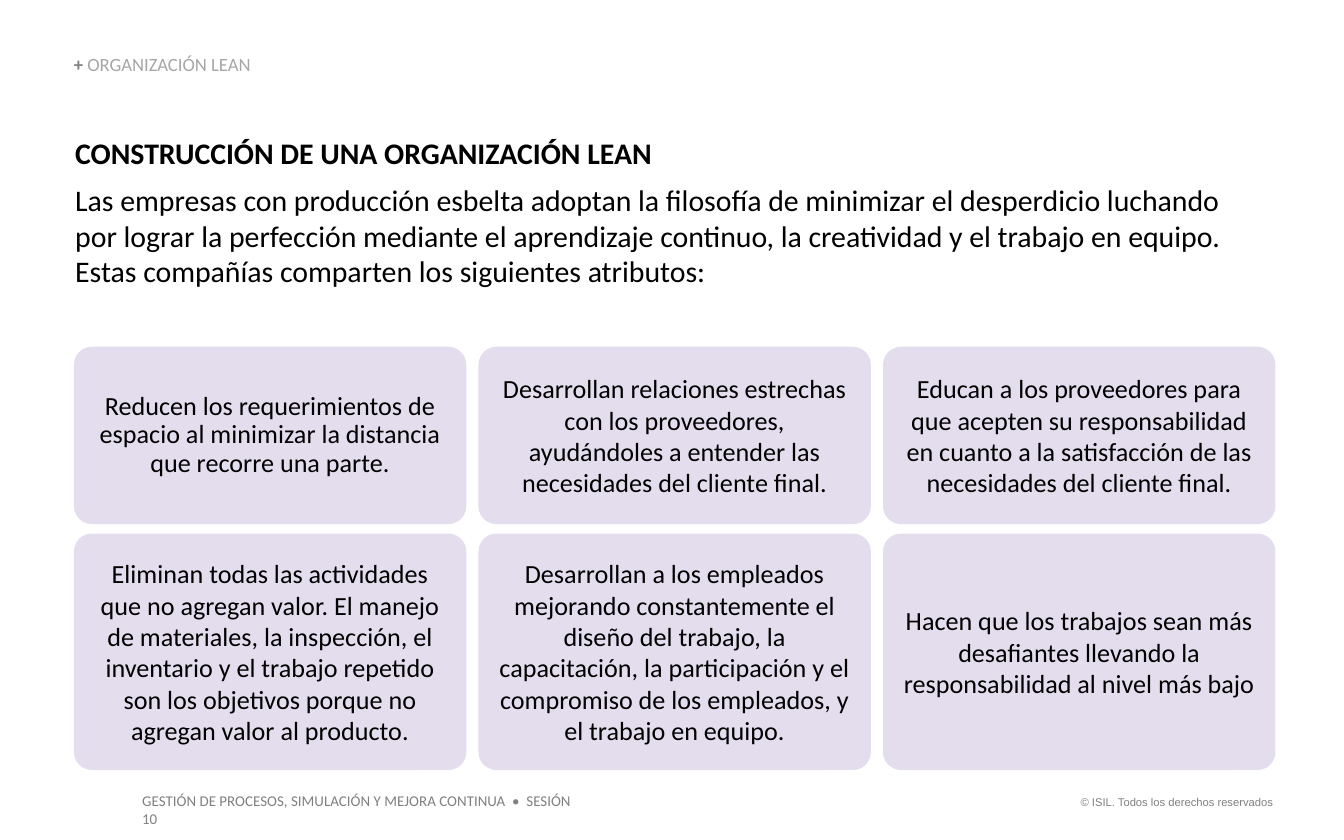
from pptx import Presentation
from pptx import util as u
from pptx.dml.color import RGBColor
from pptx.enum import shapes, text
from pptx.oxml.ns import qn
from lxml import etree

INK = {"text": "000000", "gray": "808080", "pale": "A6A6A6", "card": "E4DDED"}

HEAD = [("+ ", "gray", True), ("ORGANIZACIÓN LEAN", "pale", False)]
BODY = [
    ("CONSTRUCCIÓN DE UNA ORGANIZACIÓN LEAN", True, 6),
    ("Las empresas con producción esbelta adoptan la filosofía de minimizar el "
     "desperdicio luchando por lograr la perfección mediante el aprendizaje continuo, "
     "la creatividad y el trabajo en equipo. Estas compañías comparten los siguientes "
     "atributos:", False, 0),
]
CARDS = [
    ["Reducen los requerimientos de espacio al minimizar la distancia que recorre una parte.",
     "Desarrollan relaciones estrechas con los proveedores, ayudándoles a entender las "
     "necesidades del cliente final.",
     "Educan a los proveedores para que acepten su responsabilidad en cuanto a la "
     "satisfacción de las necesidades del cliente final."],
    ["Eliminan todas las actividades que no agregan valor. El manejo de materiales, la "
     "inspección, el inventario y el trabajo repetido son los objetivos porque no agregan "
     "valor al producto.",
     "Desarrollan a los empleados mejorando constantemente el diseño del trabajo, la "
     "capacitación, la participación y el compromiso de los empleados, y el trabajo en equipo.",
     "Hacen que los trabajos sean más desafiantes llevando la responsabilidad al nivel más bajo"],
]
FEET = [
    ("© ISIL. Todos los derechos reservados", (7.88, 5.87, 1.69, 0.2), 6, "Arial", "RIGHT", False),
    ("GESTIÓN DE PROCESOS, SIMULACIÓN Y MEJORA CONTINUA  •  SESIÓN 10",
     (0.96, 5.84, 3.53, 0.24), 8, "Calibri", "LEFT", True),
]
LEFT, TOP, WIDE, STEP, GAP = 0.55, 2.58, 2.92, 3.01, 0.07
ROWS = [1.32, 1.76]
ROUND = 0.134


def style(font, size, ink="text", bold=False, face="Calibri"):
    font.name, font.size, font.bold = face, u.Pt(size), bold
    font.color.rgb = RGBColor.from_string(INK[ink])


def place(box, area):
    box.left, box.top, box.width, box.height = map(u.Inches, area)


def bare(box, area, anchor):
    place(box, area)
    frame = box.text_frame
    frame.margin_left = frame.margin_top = frame.margin_right = frame.margin_bottom = 0
    frame.vertical_anchor = anchor
    frame.auto_size = text.MSO_AUTO_SIZE.NONE
    frame.word_wrap = True
    return frame


def add_head(box):
    par = bare(box, (LEFT, 0.41, 2.66, 0.15), text.MSO_ANCHOR.BOTTOM).paragraphs[0]
    par.alignment, par.line_spacing = text.PP_ALIGN.LEFT, 0.9
    for words, ink, bold in HEAD:
        run = par.add_run()
        run.text = words
        style(run.font, 10, ink, bold)


def add_body(box):
    frame = bare(box, (0.56, 1, 8.58, 1.16), text.MSO_ANCHOR.TOP)
    frame.text = "\n".join(words for words, *_ in BODY)
    for par, (_, bold, after) in zip(frame.paragraphs, BODY):
        par.space_before, par.space_after = u.Pt(0), u.Pt(after)
        props = par._p.get_or_add_pPr()
        props.set("marL", "0")
        props.set("indent", "0")
        etree.SubElement(props, qn("a:buNone"))
        for run in par.runs:
            style(run.font, 16, bold=bold)


def add_cards(slide):
    top = TOP
    for row, (high, words) in enumerate(zip(ROWS, CARDS)):
        for col, line in enumerate(words):
            area = (LEFT + col * STEP, top, WIDE, high)
            card = slide.shapes.add_shape(shapes.MSO_SHAPE.ROUNDED_RECTANGLE, *map(u.Inches, area))
            card.adjustments[0] = ROUND / high
            card.shadow.inherit = False
            card.fill.solid()
            card.fill.fore_color.rgb = RGBColor.from_string(INK["card"])
            card.line.fill.background()
            frame = card.text_frame
            frame.word_wrap = True
            frame.vertical_anchor = text.MSO_ANCHOR.MIDDLE
            frame.text = line
            par = frame.paragraphs[0]
            par.alignment = text.PP_ALIGN.CENTER
            if row == col == 0:
                par.line_spacing = 0.9
            style(par.runs[0].font, 14)
        top += high + GAP


def add_feet(slide):
    for words, area, size, face, side, wrap in FEET:
        frame = slide.shapes.add_textbox(*map(u.Inches, area)).text_frame
        frame.word_wrap = wrap
        frame.text = words
        par = frame.paragraphs[0]
        par.alignment = text.PP_ALIGN[side]
        style(par.runs[0].font, size, "gray", face=face)


def main():
    deck = Presentation()
    deck.slide_width, deck.slide_height = u.Inches(10), u.Inches(6.25)
    slide = deck.slides.add_slide(deck.slide_layouts[1])
    add_head(slide.shapes.title)
    add_body(slide.placeholders[1])
    add_cards(slide)
    add_feet(slide)
    deck.save("out.pptx")


if __name__ == "__main__":
    main()
